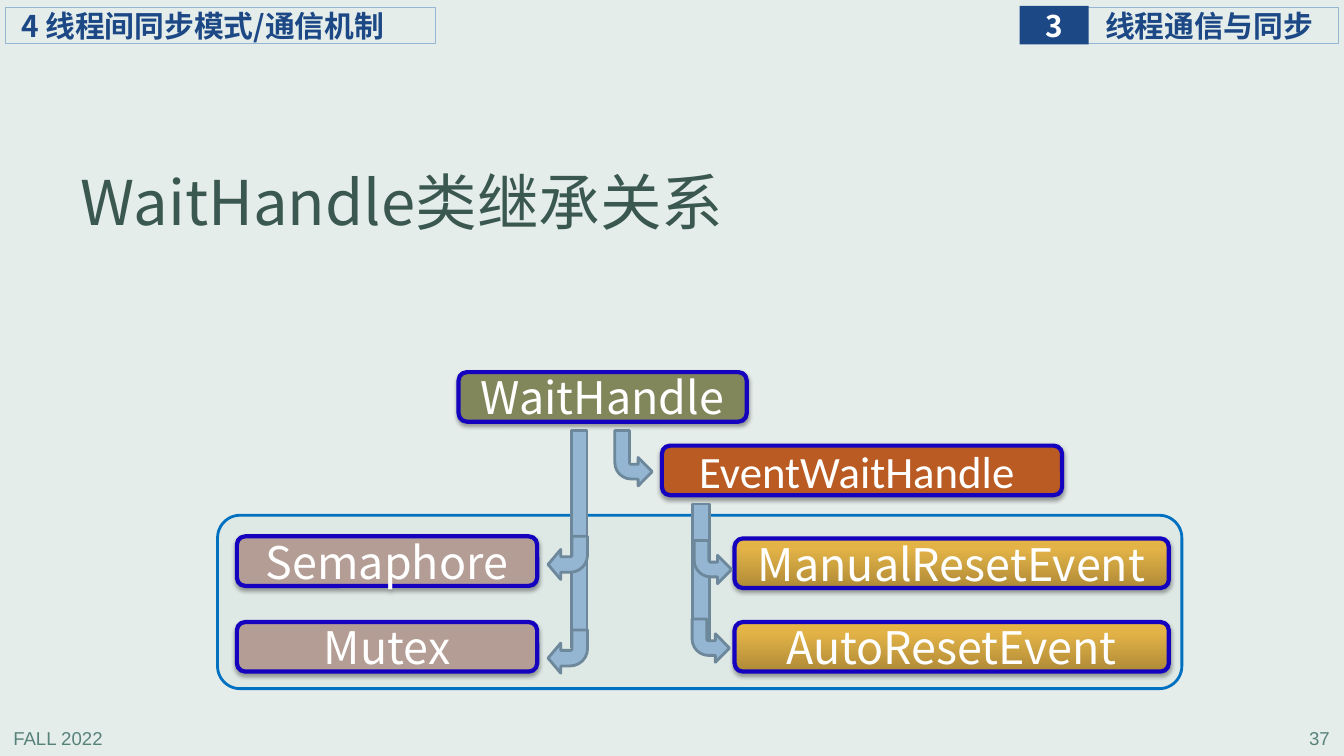
from copy import deepcopy
from dataclasses import dataclass

from lxml.etree import SubElement
from pptx import Presentation
from pptx.dml.color import RGBColor
from pptx.enum.shapes import MSO_SHAPE
from pptx.enum.text import MSO_ANCHOR, PP_ALIGN
from pptx.oxml.ns import qn
from pptx.util import Inches, Pt

# The slide is a grid of 160 columns by 90 rows
COLS, ROWS = 160, 90
CELL = Inches(13.3333) / COLS


@dataclass(frozen=True)
class Theme:
    back: str = "E5EDEB"
    navy: str = "1C4885"
    sky: str = "94B6D2"
    steel: str = "6D879B"
    mint: str = "B0CAC4"
    blue: str = "0070C0"
    edge: str = "1402BE"
    pine: str = "3A5750"
    sage: str = "578279"
    olive: str = "81875A"
    rust: str = "B95B22"
    taupe: str = "B39D94"
    white: str = "FFFFFF"
    gold: tuple = ((0, "AF8A37"), (0.8, "E3B347"), (1, "E7B544"))
    sans: str = "Noto Sans CJK SC"
    latin: str = "Calibri"
    plain: str = "Arial"
    title: float = 44
    node: float = 32
    band: float = 21.3
    foot: float = 13.3


T = Theme()
RGB = RGBColor.from_string


def place(box, x, y, wide, high):
    """Turn grid cells, counted from the corner of box, into lengths."""
    return [round(n * CELL) for n in (box[0] + x, box[1] + y, wide, high)]


def paint(shape, fill):
    """Fill with one colour, a run of gradient stops, or nothing."""
    if fill is None:
        shape.fill.background()
    elif isinstance(fill, str):
        shape.fill.solid()
        shape.fill.fore_color.rgb = RGB(fill)
    else:
        shape.fill.gradient()
        shape.fill.gradient_angle = 90
        stops = shape._element.spPr.find(".//" + qn("a:gsLst"))
        stops.append(deepcopy(stops[-1]))
        for stop, (spot, color) in zip(shape.fill.gradient_stops, fill):
            stop.position = spot
            stop.color.rgb = RGB(color)


def draw(slide, kind, area, fill=None, line=None, width=2.0):
    shape = slide.shapes.add_shape(kind, *area)
    shape.shadow.inherit = False
    paint(shape, fill)
    if line:
        shape.line.color.rgb = RGB(line)
        shape.line.width = Pt(width)
    else:
        shape.line.fill.background()
    return shape


def write(shape, text, size, color, face=T.sans, bold=False,
          align=PP_ALIGN.LEFT, anchor=MSO_ANCHOR.MIDDLE, inset=None):
    frame = shape.text_frame
    frame.word_wrap = True
    frame.vertical_anchor = anchor
    if inset is not None:
        frame.margin_left = Inches(inset)
        frame.margin_right = frame.margin_top = frame.margin_bottom = 0
    para = frame.paragraphs[0]
    para.text = text
    para.alignment = align
    font = para.font
    font.size, font.bold, font.name = Pt(size), bold, face
    font.color.rgb = RGB(color)
    SubElement(font._element, qn("a:ea")).set("typeface", face)
    return para


def shade(shape):
    """Cast a soft shadow straight down."""
    effects = shape._element.spPr.find(qn("a:effectLst"))
    outer = SubElement(effects, qn("a:outerShdw"), blurRad=str(Pt(3.1)),
                       dist=str(Pt(1.8)), dir="5400000", rotWithShape="0")
    color = SubElement(outer, qn("a:srgbClr"), val="000000")
    SubElement(color, qn("a:alpha"), val="35000")


def header(slide, box):
    # Section on the left, chapter on the right
    tabs = [
        (0.6, 0.84, 51.2, 4.3, "4 线程间同步模式/通信机制", 0.16),
        (129.4, 0.84, 30, 4.3, "线程通信与同步", 0.18),
    ]
    for *area, text, inset in tabs:
        tab = draw(slide, MSO_SHAPE.RECTANGLE, place(box, *area),
                   line=T.sky, width=0.75)
        write(tab, text, T.band, T.navy, bold=True, inset=inset)
    # Chapter number
    chip = draw(slide, MSO_SHAPE.RECTANGLE,
                place(box, 121.4, 0.7, 8.2, 4.6), T.navy)
    write(chip, "3", T.band, T.white, bold=True,
          align=PP_ALIGN.CENTER, inset=0)


def title(slide, box):
    label = slide.shapes.add_textbox(*place(box, 0, 0, 91.9, 8.4))
    para = write(label, "WaitHandle类继承关系", T.title, T.pine, inset=0.08)
    para.line_spacing = 0.9


def footer(slide, box):
    notes = [(0.4, "FALL 2022", PP_ALIGN.LEFT),
             (126.1, "37", PP_ALIGN.RIGHT)]
    for x, text, align in notes:
        label = slide.shapes.add_textbox(*place(box, x, 0, 33.4, 3.7))
        write(label, text, T.foot, T.sage, T.plain,
              align=align, anchor=MSO_ANCHOR.TOP)


def arrow(slide, area, left=False):
    """Bent arrow that runs down, then to the right or left."""
    bent = draw(slide, MSO_SHAPE.BENT_ARROW, area, T.sky, T.steel)
    for i, value in enumerate((0.393, 0.381, 0.321 if left else 0.376, 0.438)):
        bent.adjustments[i] = value
    frame = bent._element.spPr.find(qn("a:xfrm"))
    frame.set("flipV", "1")
    if left:
        frame.set("flipH", "1")


def tree(slide, box):
    # Panel behind the derived classes
    panel = draw(slide, MSO_SHAPE.ROUNDED_RECTANGLE,
                 place(box, 0, 17.04, 114.8, 20.64), T.mint, T.blue)
    panel.adjustments[0] = 0.13
    color = panel._element.spPr.find(qn("a:solidFill"))[0]
    SubElement(color, qn("a:alpha"), val="13000")

    # Classes
    nodes = [
        (28.7, 0, 34.3, "WaitHandle", T.olive, T.sans),
        (52.9, 8.75, 47.65, "EventWaitHandle\u00a0", T.rust, T.latin),
        (61.55, 19.8, 51.7, "ManualResetEvent", T.gold, T.sans),
        (2.3, 19.55, 35.75, "Semaphore", T.taupe, T.sans),
        (2.3, 29.75, 35.75, "Mutex", T.taupe, T.sans),
        (61.55, 29.75, 51.7, "AutoResetEvent", T.gold, T.sans),
    ]
    for x, y, wide, text, fill, face in nodes:
        node = draw(slide, MSO_SHAPE.ROUNDED_RECTANGLE,
                    place(box, x, y, wide, 5.9), fill, T.edge, 3)
        shade(node)
        write(node, text, T.node, T.white, face, align=PP_ALIGN.CENTER)

    # Stems, each followed by the arrows that leave it
    stem = MSO_SHAPE.RECTANGLE
    draw(slide, stem, place(box, 42.1, 6.95, 1.9, 25.8), T.sky, T.steel)
    for y in (30.7, 19.55):
        arrow(slide, place(box, 39.35, y, 4.7, 5.15), left=True)
    arrow(slide, place(box, 47.3, 6.95, 4.45, 6.6))
    draw(slide, stem, place(box, 56.5, 15.7, 2.05, 16.2), T.sky, T.steel)
    for x, y in ((56.75, 20.05), (56.5, 29.4)):
        arrow(slide, place(box, x, y, 4.45, 5.15))


def main():
    deck = Presentation()
    deck.slide_width = round(COLS * CELL)
    deck.slide_height = round(ROWS * CELL)
    slide = deck.slides.add_slide(deck.slide_layouts[6])
    slide.background.fill.solid()
    slide.background.fill.fore_color.rgb = RGB(T.back)
    footer(slide, (0, 85.9))
    header(slide, (0, 0))
    title(slide, (8.64, 20.3))
    tree(slide, (25.9, 44.3))
    deck.save("out.pptx")


if __name__ == "__main__":
    main()
